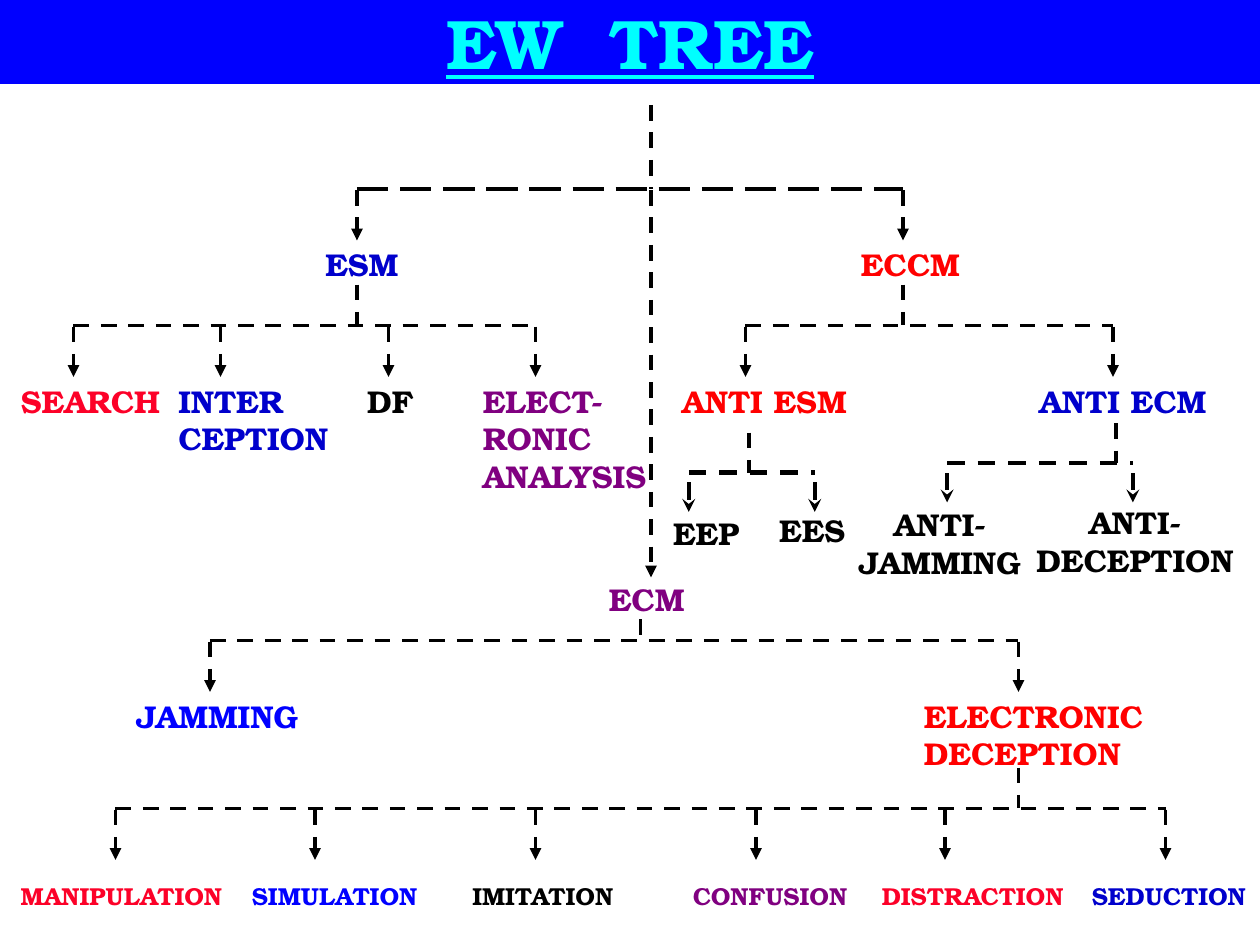
from dataclasses import dataclass

from lxml import etree
from pptx import Presentation
from pptx.dml.color import RGBColor
from pptx.enum.dml import MSO_LINE
from pptx.enum.shapes import MSO_CONNECTOR
from pptx.enum.text import MSO_ANCHOR, MSO_AUTO_SIZE, PP_ALIGN
from pptx.oxml.ns import qn
from pptx.util import Inches, Pt

STRAIGHT = MSO_CONNECTOR.STRAIGHT
DASH, LONG_DASH = MSO_LINE.DASH, MSO_LINE.LONG_DASH
LEFT, CENTER = PP_ALIGN.LEFT, PP_ALIGN.CENTER
MIDDLE = MSO_ANCHOR.MIDDLE
NO_FIT, GROW = MSO_AUTO_SIZE.NONE, MSO_AUTO_SIZE.SHAPE_TO_FIT_TEXT

SLIDE_WIDTH, SLIDE_HEIGHT = Inches(10), Inches(7.5)
COLUMNS, ROWS = 120, 90
TITLE_ROWS = 8
LABEL_SLACK = 0.5  # spare columns that keep a label's words on one line


@dataclass(frozen=True)
class Theme:
    font: str = "TeX Gyre Bonum"
    banner: str = "0000FF"
    title: str = "00FFFF"
    black: str = "000000"
    navy: str = "0000CC"
    blue: str = "0000FF"
    red: str = "FF0000"
    crimson: str = "FC0128"
    purple: str = "800080"
    title_size: float = 40
    label_size: float = 18
    leaf_size: float = 14
    line_width: float = 2.25
    sub_line_width: float = 2.5


THEME = Theme()


@dataclass(frozen=True)
class Branch:
    """A stem down to a bar, with an arrow dropping from the bar to each child."""
    stem: float
    top: float
    bar: float
    children: tuple[float, ...]
    bar_dash: MSO_LINE = DASH
    minor: bool = False


@dataclass(frozen=True)
class Label:
    text: str
    column: float
    row: float
    width: float
    color: str
    size: float = THEME.label_size
    centered: bool = False
    wrap: bool = False


BRANCHES = (
    Branch(62, 10, 18, (34, 86), bar_dash=LONG_DASH),
    Branch(34, 27.1, 31, (7, 21, 37, 51)),
    Branch(86, 27.1, 31, (71, 106)),
    Branch(61, 59, 61, (20, 97)),
    Branch(97, 73.1, 77, (11, 30, 51, 72, 90, 111)),
    Branch(71.3, 41.2, 45, (65.6, 77.6), minor=True),
    Branch(106.3, 40.3, 44.1, (90.2, 107.9), minor=True),
)

MEASURE_ROW, METHOD_ROW, ECM_ROW, ATTACK_ROW, LEAF_ROW = 22.7, 35.75, 54.7, 65.75, 83.3

LABELS = (
    Label("ESM", 29.8, MEASURE_ROW, 9.4, THEME.navy),
    Label("ECCM", 80.8, MEASURE_ROW, 11.8, THEME.red),
    Label("SEARCH", 0.8, METHOD_ROW, 15.7, THEME.crimson),
    Label("INTER\nCEPTION", 15.8, METHOD_ROW, 16.7, THEME.navy),
    Label("DF", 33.8, METHOD_ROW, 6.7, THEME.black),
    Label("ELECT-\nRONIC\nANALYSIS", 44.8, METHOD_ROW, 18.1, THEME.purple),
    Label("ANTI ESM", 63.8, METHOD_ROW, 18, THEME.red),
    Label("ANTI ECM", 97.8, METHOD_ROW, 18.2, THEME.navy),
    Label("ECM", 56.8, ECM_ROW, 9.6, THEME.purple),
    Label("JAMMING", 11.8, ATTACK_ROW, 17.9, THEME.blue),
    Label("ELECTRONIC\nDECEPTION", 86.8, ATTACK_ROW, 23.3, THEME.red),
    Label("EEP", 63.8, 49, 6.4, THEME.black, centered=True),
    Label("EES", 73.9, 48.7, 6.4, THEME.black, centered=True),
    Label("ANTI- JAMMING", 81.5, 48.1, 15.5, THEME.black, centered=True, wrap=True),
    Label("ANTI- DECEPTION", 97.4, 47.9, 20.9, THEME.black, centered=True, wrap=True),
    Label("MANIPULATION", 0.8, LEAF_ROW, 21.6, THEME.crimson, THEME.leaf_size),
    Label("SIMULATION", 22.8, LEAF_ROW, 18.2, THEME.blue, THEME.leaf_size),
    Label("IMITATION", 43.8, LEAF_ROW, 16, THEME.black, THEME.leaf_size),
    Label("CONFUSION", 64.8, LEAF_ROW, 17.2, THEME.purple, THEME.leaf_size),
    Label("DISTRACTION", 82.8, LEAF_ROW, 19.8, THEME.crimson, THEME.leaf_size),
    Label("SEDUCTION", 102.8, LEAF_ROW, 17.1, THEME.navy, THEME.leaf_size),
)


def across(columns: float) -> int:
    return round(SLIDE_WIDTH * columns / COLUMNS)


def down(rows: float) -> int:
    return round(SLIDE_HEIGHT * rows / ROWS)


def write(frame, text: str, *, color: str, size: float, align=LEFT, underline=None) -> None:
    frame.text = text
    for paragraph in frame.paragraphs:
        paragraph.alignment = align
        for run in paragraph.runs:
            font = run.font
            font.name, font.size = THEME.font, Pt(size)
            font.bold, font.underline = True, underline
            font.color.rgb = RGBColor.from_string(color)


def draw_line(slide, start: tuple[float, float], end: tuple[float, float], *,
              width: float = THEME.line_width, dash=DASH, head: str = "", tail: str = "") -> None:
    connector = slide.shapes.add_connector(
        STRAIGHT, across(start[0]), down(start[1]), across(end[0]), down(end[1]))
    line = connector.line
    line.width, line.dash_style = Pt(width), dash
    line.color.rgb = RGBColor.from_string(THEME.black)
    properties = connector.element.spPr
    outline = properties.find(qn("a:ln"))
    for tag, arrow in (("a:headEnd", head), ("a:tailEnd", tail)):
        if arrow:
            etree.SubElement(outline, qn(tag), type=arrow)
    etree.SubElement(properties, qn("a:effectLst"))


def draw_branch(slide, branch: Branch) -> None:
    draw_line(slide, (branch.stem, branch.top), (branch.stem, branch.bar))
    width = THEME.sub_line_width if branch.minor else THEME.line_width
    draw_line(slide, (branch.children[0], branch.bar), (branch.children[-1], branch.bar),
              width=width, dash=branch.bar_dash)
    for child in branch.children:
        if branch.minor:
            draw_line(slide, (child, branch.bar + 3.75), (child, branch.bar),
                      width=width, head="stealth")
        else:
            draw_line(slide, (child, branch.bar + 0.1), (child, branch.bar + 4.9),
                      tail="triangle")


def draw_label(slide, label: Label) -> None:
    lines = 2 if label.wrap else label.text.count("\n") + 1
    inset = 0 if label.centered else Inches(0.05)
    height = Pt(label.size * 1.2 * lines) + 2 * inset
    box = slide.shapes.add_textbox(
        across(label.column), down(label.row), across(label.width + LABEL_SLACK), height)
    frame = box.text_frame
    frame.margin_left = frame.margin_right = 2 * inset
    frame.margin_top = frame.margin_bottom = inset
    frame.word_wrap, frame.auto_size = label.wrap, GROW
    write(frame, label.text, color=label.color, size=label.size,
          align=CENTER if label.centered else LEFT)


def draw_title(slide) -> None:
    title = slide.shapes.title
    title.left, title.top = 0, 0
    title.width, title.height = SLIDE_WIDTH, down(TITLE_ROWS)
    title.fill.solid()
    title.fill.fore_color.rgb = RGBColor.from_string(THEME.banner)
    frame = title.text_frame
    frame.vertical_anchor, frame.auto_size = MIDDLE, NO_FIT
    write(frame, "EW  TREE", color=THEME.title, size=THEME.title_size,
          align=CENTER, underline=True)


def main() -> None:
    deck = Presentation()
    deck.slide_width, deck.slide_height = SLIDE_WIDTH, SLIDE_HEIGHT
    slide = deck.slides.add_slide(deck.slide_layouts.get_by_name("Title Only"))
    draw_title(slide)

    # Branches, then the long central arrow down to ECM
    for branch in BRANCHES:
        draw_branch(slide, branch)
    draw_line(slide, (62, 18.1), (62, 55), tail="triangle")

    # Names of the tree's nodes
    for label in LABELS:
        draw_label(slide, label)
    deck.save("out.pptx")


if __name__ == "__main__":
    main()
